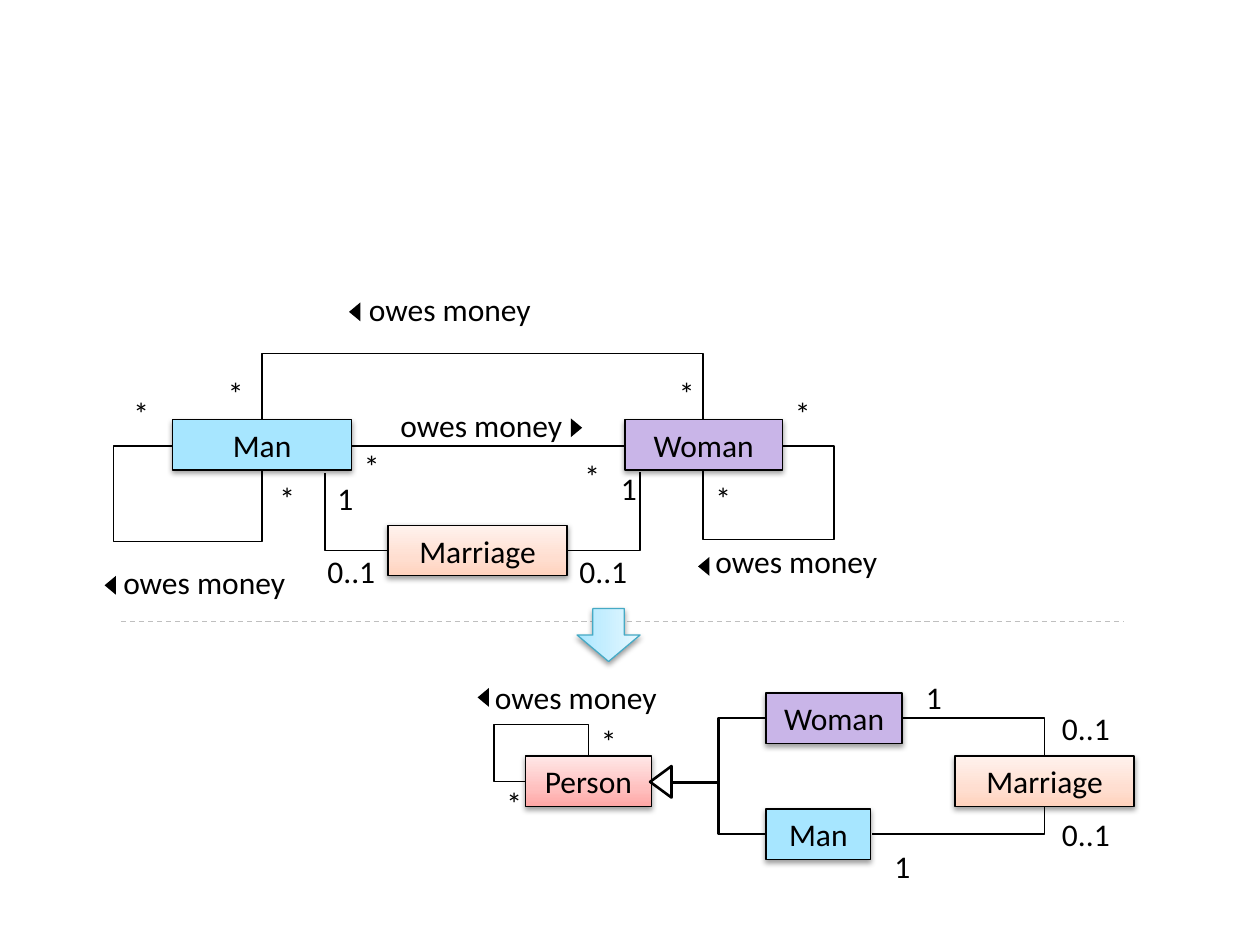
import copy
from dataclasses import dataclass
from typing import Any, NamedTuple

import pptx
import pptx.dml.color
import pptx.enum.dml
import pptx.enum.shapes
import pptx.enum.text
import pptx.oxml
import pptx.oxml.ns
import pptx.util

Inches = pptx.util.Inches
Pt = pptx.util.Pt
qn = pptx.oxml.ns.qn
Preset = pptx.enum.shapes.MSO_SHAPE
Link = pptx.enum.shapes.MSO_CONNECTOR
Point = tuple[float, float]
Fill = tuple[str, ...]  # one colour, or three gradient stops


@dataclass(frozen=True)
class Theme:
    ink: str = "000000"
    paper: str = "FFFFFF"
    divider: str = "BFBFBF"
    arrow_edge: str = "46AAC5"
    man: Fill = ("A7E6FF",)
    woman: Fill = ("C9B5E8",)
    marriage: Fill = ("FFD2BD", "FFDED0", "FFF2ED")
    person: Fill = ("FFA6A5", "FFC0BF", "FFE7E7")
    arrow: Fill = ("A7E6FF", "C1EDFF", "E7F8FF")
    stops: tuple[float, ...] = (0, 0.35, 1)
    font: str = "Calibri"
    size: float = 18
    thin: float = 0.75
    thick: float = 1.5
    row: float = 0.4


THEME = Theme()


class Entity(NamedTuple):
    name: str
    left: float
    top: float
    width: float
    fill: Fill


class Label(NamedTuple):
    text: str
    left: float
    top: float
    width: float = 0.33


class Association(NamedTuple):
    start: Point
    end: Point
    turns: int = 0  # clockwise quarter turns of the first segment
    bends: tuple[float, ...] = ()
    weight: float = THEME.thin


# Entity boxes: the first model above the divider, the second below
ENTITIES = [
    Entity("Man", 1.37, 3.33, 1.42, THEME.man),
    Entity("Woman", 4.96, 3.33, 1.25, THEME.woman),
    Entity("Marriage", 3.08, 4.17, 1.42, THEME.marriage),
    Entity("Person", 4.17, 6, 1, THEME.person),
    Entity("Man", 6.08, 6.42, 0.83, THEME.man),
    Entity("Woman", 6.08, 5.5, 1.08, THEME.woman),
    Entity("Marriage", 7.58, 6, 1.42, THEME.marriage),
]

ASSOCIATIONS = [
    Association((5.58, 3.34), (2.08, 3.33), 3, (54,)),
    Association((2.08, 3.74), (1.37, 3.54), 1, (-2.79, 1.66)),
    Association((6.21, 3.54), (5.58, 3.74), 0, (-0.65, 3.7)),
    Association((3.08, 4.37), (2.58, 3.75), 2),
    Association((4.5, 4.37), (5.08, 3.75)),
    Association((5.33, 6.21), (6.08, 6.62), 0, (0.5,), THEME.thick),
    Association((5.33, 6.21), (6.08, 5.7), 0, (0.5,), THEME.thick),
    Association((8.29, 6.4), (6.92, 6.62), 1),
    Association((8.29, 6), (7.17, 5.7), 3),
    Association((4.17, 6.2), (4.67, 6), 2, (-0.5, 2.24)),
]

MULTIPLICITIES = {
    "*": [(4.54, 3.58), (6.21, 3.08), (5.58, 3.75), (5.29, 2.92), (2.79, 3.5),
          (2.12, 3.75), (1.71, 2.92), (0.96, 3.08), (4.67, 5.68), (3.92, 6.17)],
    "1": [(7.25, 5.33), (7, 6.67), (4.83, 3.67), (2.58, 3.75)],
    "0..1": [(4.5, 4.33), (2.5, 4.33), (8.33, 5.58), (8.33, 6.42)],
}
ROLES = [(3.08, 3.17, 2.33), (2.83, 2.25, 2.13), (5.58, 4.25, 1.67),
         (0.88, 4.42, 1.91), (3.83, 5.33, 1.67)]
# Reading-direction markers: left, top, rotation
MARKERS = [(2.74, 2.43, 270), (0.8, 4.6, 270), (3.76, 5.49, 270),
           (5.51, 4.45, 270), (4.5, 3.35, 90)]


def rgb(value: str) -> pptx.dml.color.RGBColor:
    return pptx.dml.color.RGBColor.from_string(value)


def apply(target: Any, values: dict[str, Any]) -> None:
    for attribute, value in values.items():
        setattr(target, attribute, value)


def write(frame: Any, text: str, align: Any, anchor: Any) -> None:
    apply(frame, {"word_wrap": True, "vertical_anchor": anchor,
                  "auto_size": pptx.enum.text.MSO_AUTO_SIZE.SHAPE_TO_FIT_TEXT})
    paragraph = frame.paragraphs[0]
    paragraph.alignment = align
    run = paragraph.add_run()
    run.text = text
    apply(run.font, {"name": THEME.font, "size": Pt(THEME.size)})
    run.font.color.rgb = rgb(THEME.ink)


def paint(shape: Any, colours: Fill) -> None:
    if len(colours) == 1:
        shape.fill.solid()
        shape.fill.fore_color.rgb = rgb(colours[0])
        return
    shape.fill.gradient()
    shape.fill.gradient_angle = 90
    stop_list = shape._element.spPr.find(".//" + qn("a:gsLst"))
    stop_list.append(copy.deepcopy(stop_list[0]))
    for stop, place, colour in zip(shape.fill.gradient_stops, THEME.stops, colours):
        stop.position = place
        stop.color.rgb = rgb(colour)


def draw_shape(slide: Any, preset: Any, box: tuple[float, ...], fill: Fill,
               edge: str | None = None, weight: float = THEME.thin,
               rotation: float = 0, shadow: bool = False) -> Any:
    shape = slide.shapes.add_shape(preset, *map(Inches, box))
    shape.rotation = rotation
    paint(shape, fill)
    if edge:
        shape.line.color.rgb = rgb(edge)
        shape.line.width = Pt(weight)
    else:
        shape.line.fill.background()
    shape.shadow.inherit = False
    if shadow:
        shape._element.spPr.find(qn("a:effectLst")).append(pptx.oxml.parse_xml(
            '<a:outerShdw xmlns:a="http://schemas.openxmlformats.org/drawingml/2006/main"'
            ' blurRad="40000" dist="20000" dir="5400000" rotWithShape="0">'
            '<a:srgbClr val="000000"><a:alpha val="38000"/></a:srgbClr></a:outerShdw>'))
    return shape


def draw_line(slide: Any, kind: Any, start: Point, end: Point,
              colour: str = THEME.ink, weight: float = THEME.thin) -> Any:
    line = slide.shapes.add_connector(kind, *map(Inches, (*start, *end)))
    line.line.color.rgb = rgb(colour)
    line.line.width = Pt(weight)
    pptx.oxml.ns  # namespaces used by qn
    line._element.spPr.append(pptx.oxml.xmlchemy.OxmlElement("a:effectLst"))
    return line


def draw_association(slide: Any, link: Association) -> None:
    """Lay the elbow out unrotated about its centre, then turn it."""
    (x1, y1), (x2, y2) = link.start, link.end
    dx, dy = (x2 - x1) / 2, (y2 - y1) / 2
    for _ in range(link.turns):
        dx, dy = dy, -dx
    cx, cy = (x1 + x2) / 2, (y1 + y2) / 2
    elbow = draw_line(slide, Link.ELBOW, (cx - dx, cy - dy), (cx + dx, cy + dy),
                      weight=link.weight)
    properties = elbow._element.spPr
    properties.find(qn("a:xfrm")).set("rot", str(link.turns * 5400000))
    geometry = properties.find(qn("a:prstGeom"))
    geometry.set("prst", f"bentConnector{len(link.bends) + 2}")
    guides = geometry.get_or_add_avLst()
    for number, bend in enumerate(link.bends, 1):
        guide = pptx.oxml.xmlchemy.OxmlElement("a:gd")
        guide.set("name", f"adj{number}" if len(link.bends) > 1 else "adj1")
        guide.set("fmla", f"val {round(bend * 100000)}")
        guides.append(guide)


def draw_entity(slide: Any, entity: Entity) -> None:
    box = draw_shape(slide, Preset.RECTANGLE,
                     (entity.left, entity.top, entity.width, THEME.row),
                     entity.fill, THEME.ink, shadow=True)
    write(box.text_frame, entity.name, pptx.enum.text.PP_ALIGN.CENTER,
          pptx.enum.text.MSO_ANCHOR.MIDDLE)


def draw_label(slide: Any, label: Label) -> None:
    box = slide.shapes.add_textbox(
        *map(Inches, (label.left, label.top, label.width, THEME.row)))
    write(box.text_frame, label.text, pptx.enum.text.PP_ALIGN.LEFT,
          pptx.enum.text.MSO_ANCHOR.TOP)


def main() -> None:
    deck = pptx.Presentation()
    apply(deck, {"slide_width": Inches(10), "slide_height": Inches(7.5)})
    slide = deck.slides.add_slide(deck.slide_layouts[6])

    # Divider between the two models
    divider = draw_line(slide, Link.STRAIGHT, (0.96, 4.93), (8.92, 4.93), THEME.divider)
    divider.line.dash_style = pptx.enum.dml.MSO_LINE.DASH

    # Associations, entities and the generalization head
    draw_line(slide, Link.STRAIGHT, (2.79, 3.54), (4.96, 3.54))
    for link in ASSOCIATIONS:
        draw_association(slide, link)
    for entity in ENTITIES:
        draw_entity(slide, entity)
    draw_shape(slide, Preset.ISOSCELES_TRIANGLE, (5.12, 6.12, 0.25, 0.17),
               (THEME.paper,), THEME.ink, THEME.thick, 270)

    # Labels and reading directions
    for left, top, width in ROLES:
        draw_label(slide, Label("owes money", left, top, width))
    for text, places in MULTIPLICITIES.items():
        for left, top in places:
            draw_label(slide, Label(text, left, top, 0.58 if len(text) > 1 else 0.33))
    for left, top, rotation in MARKERS:
        draw_shape(slide, Preset.ISOSCELES_TRIANGLE, (left, top, 0.15, 0.09),
                   (THEME.ink,), rotation=rotation)

    # Transformation arrow
    draw_shape(slide, Preset.RIGHT_ARROW, (4.62, 4.79, 0.42, 0.5), THEME.arrow,
               THEME.arrow_edge, rotation=90, shadow=True)
    deck.save("out.pptx")


if __name__ == "__main__":
    main()
